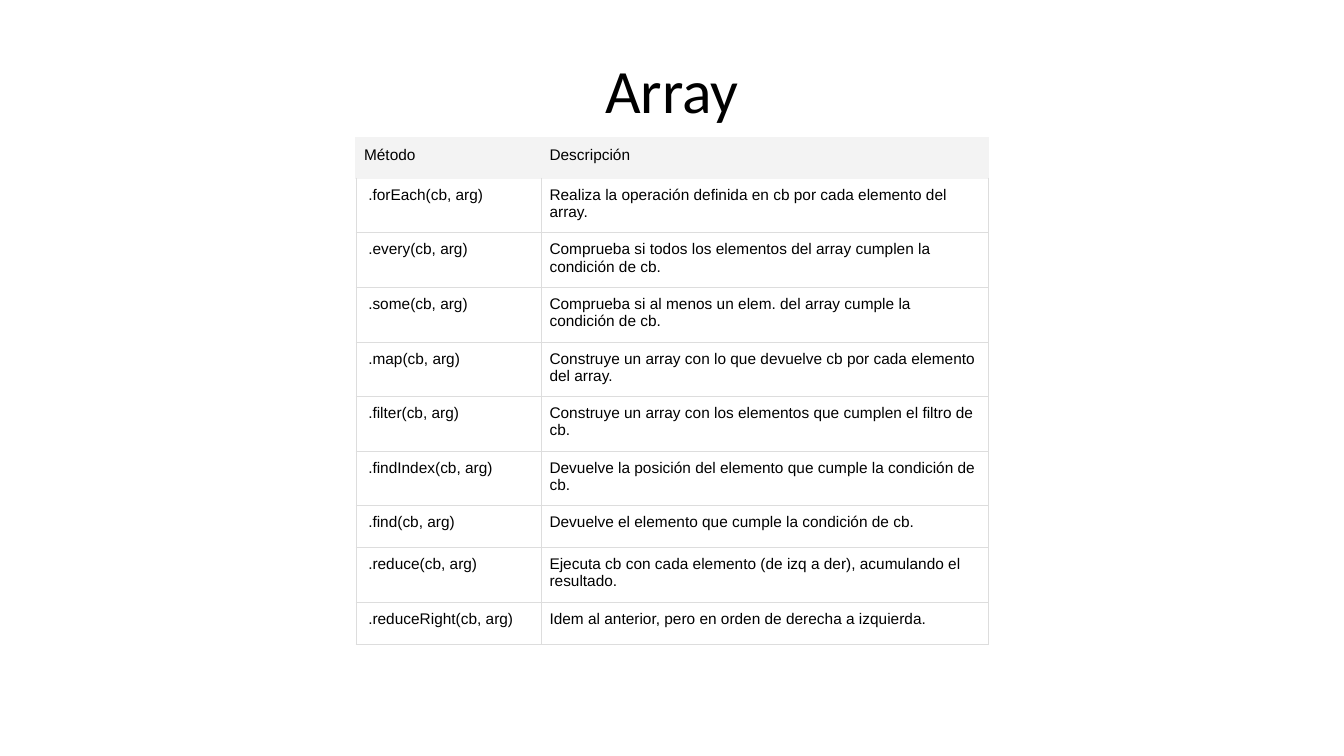
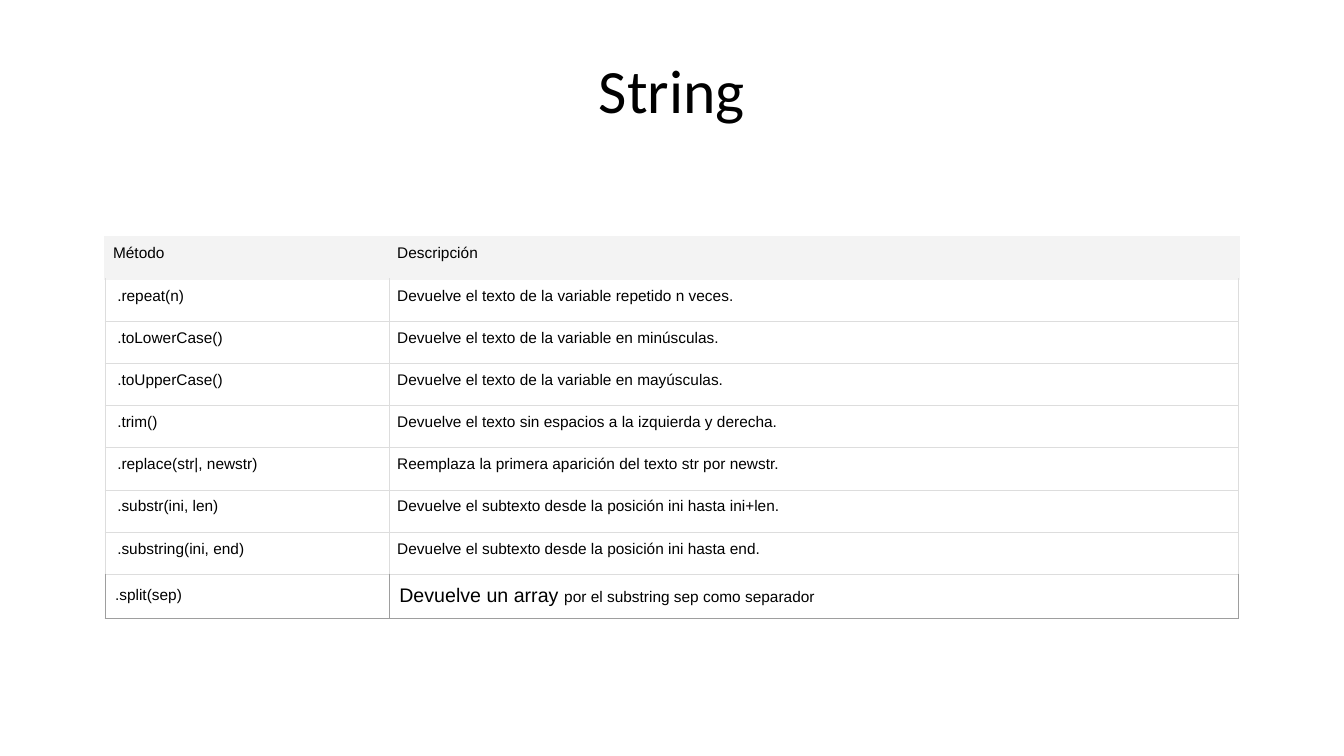
from lxml.etree import SubElement
from pptx import Presentation
from pptx.dml.color import RGBColor as RGB
from pptx.enum.text import MSO_ANCHOR as Anchor, PP_ALIGN as Align
from pptx.oxml.ns import qn
from pptx.util import Pt

COLORS = {"ink": "000000", "header": "F3F3F3", "grid": "DDDDDD", "accent": "9E9E9E"}
HEADINGS = ("Método", "Descripción")
HEADER_EDGE = ("header", 1)
GRID_EDGE = ("grid", 0.75)
ACCENT_EDGE = ("accent", 0.75)
CELL_MARGIN = 5.76
METHOD_INDENT = 3

ARRAY_METHODS = [
    (".forEach(cb, arg)", "Realiza la operación definida en cb por cada elemento del array."),
    (".every(cb, arg)", "Comprueba si todos los elementos del array cumplen la condición de cb."),
    (".some(cb, arg)", "Comprueba si al menos un elem. del array cumple la condición de cb."),
    (".map(cb, arg)", "Construye un array con lo que devuelve cb por cada elemento del array."),
    (".filter(cb, arg)", "Construye un array con los elementos que cumplen el filtro de cb."),
    (".findIndex(cb, arg)", "Devuelve la posición del elemento que cumple la condición de cb."),
    (".find(cb, arg)", "Devuelve el elemento que cumple la condición de cb."),
    (".reduce(cb, arg)", "Ejecuta cb con cada elemento (de izq a der), acumulando el resultado."),
    (".reduceRight(cb, arg)", "Idem al anterior, pero en orden de derecha a izquierda."),
]
STRING_METHODS = [
    (".repeat(n)", "Devuelve el texto de la variable repetido n veces."),
    (".toLowerCase()", "Devuelve el texto de la variable en minúsculas."),
    (".toUpperCase()", "Devuelve el texto de la variable en mayúsculas."),
    (".trim()", "Devuelve el texto sin espacios a la izquierda y derecha."),
    (".replace(str|, newstr)", "Reemplaza la primera aparición del texto str por newstr."),
    (".substr(ini, len)", "Devuelve el subtexto desde la posición ini hasta ini+len."),
    (".substring(ini, end)", "Devuelve el subtexto desde la posición ini hasta end."),
    (".split(sep)", "Devuelve un array "),
]
SPLIT_ENDING = "por el substring sep como separador"


def set_font(font, name, size):
    font.name = name
    font.size = Pt(size)
    font.color.rgb = RGB.from_string(COLORS["ink"])


def set_margins(cell, margin, indent=0):
    cell.margin_left = Pt(margin + indent)
    cell.margin_top = cell.margin_right = cell.margin_bottom = Pt(margin)


def set_borders(cell, edge, top_edge):
    props = cell._tc.get_or_add_tcPr()
    for old in props.findall("*"):
        if old.tag.startswith(qn("a:ln")):
            props.remove(old)
    sides = (("L", edge), ("R", edge), ("T", top_edge), ("B", edge))
    for index, (side, (color, width)) in enumerate(sides):
        line = SubElement(props, qn(f"a:ln{side}"), w=str(Pt(width)))
        fill = SubElement(line, qn("a:solidFill"))
        SubElement(fill, qn("a:srgbClr"), val=COLORS[color])
        props.insert(index, line)


def add_title(slide, title):
    box = slide.shapes.add_textbox(Pt(66), Pt(28.8), Pt(828), Pt(75.6))
    frame = box.text_frame
    frame.word_wrap = True
    frame.vertical_anchor = Anchor.MIDDLE
    heading = frame.paragraphs[0]
    heading.text = title
    heading.alignment = Align.CENTER
    heading.line_spacing = 0.9
    set_font(heading.font, "Calibri", 44)


def add_methods(slide, methods, left, top, widths, heights):
    rows = [HEADINGS, *methods]
    table = slide.shapes.add_table(
        len(rows), len(widths), Pt(left), Pt(top), Pt(sum(widths)), Pt(sum(heights))
    ).table
    table.first_row = table.horz_banding = False
    for column, width in zip(table.columns, widths):
        column.width = Pt(width)
    for r, (texts, height) in enumerate(zip(rows, heights)):
        table.rows[r].height = Pt(height)
        edge = GRID_EDGE if r else HEADER_EDGE
        top_edge = GRID_EDGE if r > 1 else HEADER_EDGE
        for c, text in enumerate(texts):
            cell = table.cell(r, c)
            cell.text = text
            set_font(cell.text_frame.paragraphs[0].font, "Arial", 11)
            set_margins(cell, CELL_MARGIN, METHOD_INDENT if r and c == 0 else 0)
            set_borders(cell, edge, top_edge)
            if r:
                cell.fill.background()
            else:
                cell.fill.solid()
                cell.fill.fore_color.rgb = RGB.from_string(COLORS["header"])
    return table


def emphasize_split(table):
    last = len(table.rows) - 1
    method, description = table.cell(last, 0), table.cell(last, 1)
    for cell in (method, description):
        set_margins(cell, 7.2)
        set_borders(cell, ACCENT_EDGE, GRID_EDGE)
    method.text_frame.paragraphs[0].line_spacing = 1.15
    sentence = description.text_frame.paragraphs[0]
    sentence.runs[0].font.size = Pt(14)
    sentence.add_run().text = SPLIT_ENDING


def main():
    deck = Presentation()
    deck.slide_width, deck.slide_height = Pt(960), Pt(540)
    blank = deck.slide_layouts[6]

    array_slide = deck.slides.add_slide(blank)
    add_title(array_slide, "Array")
    array_heights = [28.8] + [39] * 6 + [30, 39, 30]
    add_methods(array_slide, ARRAY_METHODS, 254.3, 98.6, (132.5, 319), array_heights)

    string_slide = deck.slides.add_slide(blank)
    add_title(string_slide, "String")
    string_heights = [30.15] * (len(STRING_METHODS) + 1)
    string_table = add_methods(
        string_slide, STRING_METHODS, 75, 169.2, (203, 607), string_heights
    )
    emphasize_split(string_table)

    deck.save("out.pptx")


if __name__ == "__main__":
    main()
